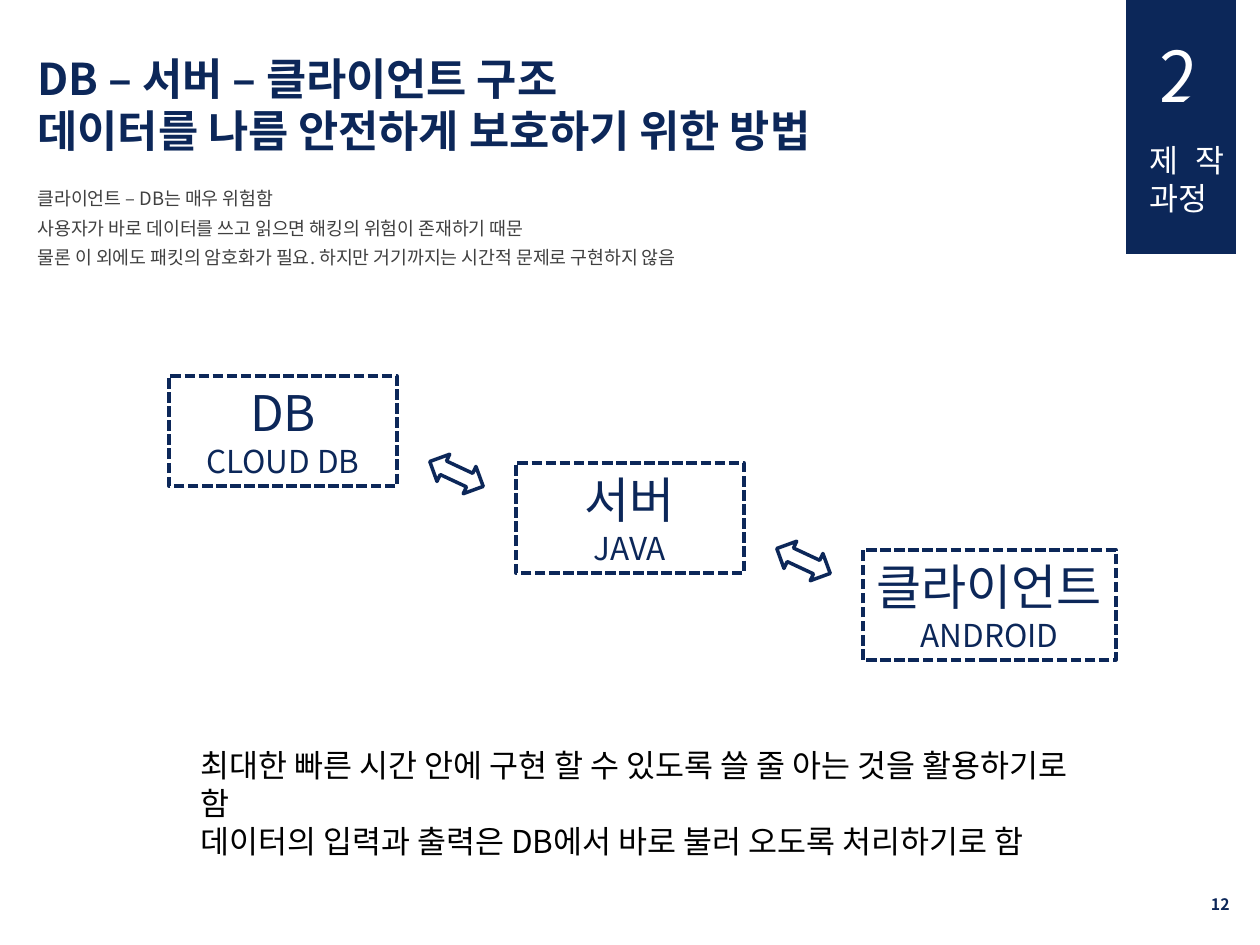
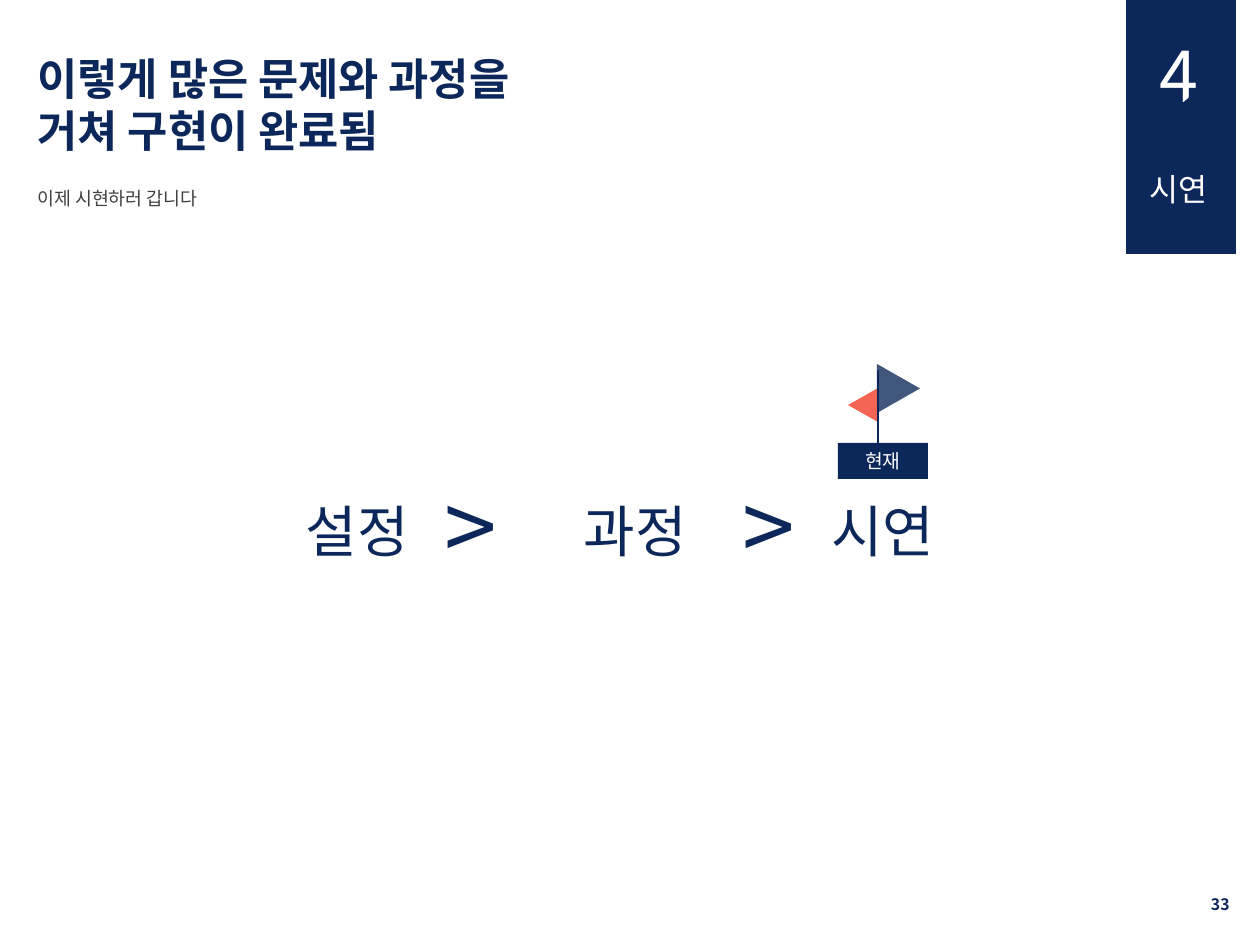
from lxml.etree import SubElement
from pptx import Presentation
from pptx.dml.color import RGBColor
from pptx.enum.dml import MSO_LINE
from pptx.enum.shapes import MSO_CONNECTOR, MSO_SHAPE
from pptx.enum.text import MSO_ANCHOR, MSO_AUTO_SIZE, PP_ALIGN
from pptx.oxml.ns import qn
from pptx.util import Emu, Pt

# Content
SLIDES = [
    dict(page="12", number="2", section="제작과정", section_top=135,
         title=["DB – 서버 – 클라이언트 구조", "데이터를 나름 안전하게 보호하기 위한 방법"],
         title_width=873,
         body=["클라이언트 – DB는 매우 위험함",
               "사용자가 바로 데이터를 쓰고 읽으면 해킹의 위험이 존재하기 때문",
               "물론 이 외에도 패킷의 암호화가 필요. 하지만 거기까지는 시간적 문제로 구현하지 않음"],
         body_width=694),
    dict(page="33", number="4", section="시연", section_top=164,
         title=["이렇게 많은 문제와 과정을 거쳐 구현이 완료됨"], title_width=515,
         body=["이제 시현하러 갑니다"], body_width=515),
]
TIERS = [("DB", "CLOUD DB", 228), ("서버", "JAVA", 228), ("클라이언트", "ANDROID", 253)]
NOTE = ["최대한 빠른 시간 안에 구현 할 수 있도록 쓸 줄 아는 것을 활용하기로 함",
        "데이터의 입력과 출력은 DB에서 바로 불러 오도록 처리하기로 함"]
STAGES = [("설정", PP_ALIGN.CENTER), ("과정", PP_ALIGN.CENTER), ("시연", PP_ALIGN.LEFT)]

# Shared style
FONT = "Noto Sans CJK KR"
NAVY, RED, GRAY, BLACK, WHITE = "0C2759", "F33A24", "404040", "000000", "FFFFFF"
PX = 914400 / 126


def px(*values):
    return [Emu(round(v * PX)) for v in values]


def rgb(color):
    return RGBColor.from_string(color)


def write(s, lines, size=18, color=NAVY, bold=False, align=PP_ALIGN.LEFT,
          anchor=MSO_ANCHOR.TOP, spacing=None):
    """Fill a shape with lines; a line is a text or a (text, size) pair."""
    tf = s.text_frame
    tf.word_wrap = True
    tf.auto_size = MSO_AUTO_SIZE.NONE
    tf.vertical_anchor = anchor
    for i, line in enumerate(lines):
        text, points = line if isinstance(line, tuple) else (line, size)
        p = tf.paragraphs[0] if i == 0 else tf.add_paragraph()
        p.alignment = align
        p.space_before = Pt(0)
        if spacing:
            p.line_spacing = Pt(spacing)
        r = p.add_run()
        r.text = text
        r.font.size = Pt(points)
        r.font.bold = bold
        r.font.color.rgb = rgb(color)
        r.font.name = FONT
        SubElement(r._r.get_or_add_rPr(), qn("a:ea"), typeface=FONT)
    return s


def add_text(slide, box, lines, **style):
    return write(slide.shapes.add_textbox(*px(*box)), lines, **style)


def add_shape(slide, kind, box, fill=None, line=None, rotation=0, opacity=100):
    s = slide.shapes.add_shape(kind, *px(*box))
    s.shadow.inherit = False
    s.rotation = rotation
    if fill:
        s.fill.solid()
        s.fill.fore_color.rgb = rgb(fill)
        if opacity < 100:
            clr = s._element.spPr.find(".//" + qn("a:srgbClr"))
            SubElement(clr, qn("a:alpha"), val=str(opacity * 1000))
    else:
        s.fill.background()
    if line:
        s.line.color.rgb = rgb(line)
        s.line.width = Pt(2)
    else:
        s.line.fill.background()
    return s


def place(s, box):
    s.left, s.top, s.width, s.height = px(*box)
    return s


def add_base(prs, page, number, section, section_top, title, title_width, body, body_width):
    """Slide with title, list, section band and page number."""
    slide = prs.slides.add_slide(prs.slide_layouts[1])
    write(place(slide.shapes.title, (25, 45, title_width, 118)), title,
          size=25, bold=True)
    sp = write(place(slide.placeholders[1], (25, 173, body_width, 103)), body,
               size=10.5, color=GRAY, spacing=17)
    for p in sp.text_frame.paragraphs:
        pPr = p._p.get_or_add_pPr()
        pPr.set("marL", "0")
        pPr.set("indent", "0")
        SubElement(pPr, qn("a:buNone"))

    # Section band; the corner triangle trims the foot of the number
    add_shape(slide, MSO_SHAPE.RECTANGLE, (1126, 0, 110, 254), fill=NAVY)
    add_text(slide, (1137, section_top, 100, 89), [section], color=WHITE,
             align=PP_ALIGN.JUSTIFY)
    add_text(slide, (1147, 26, 79, 97), [number], size=40, color=WHITE)
    corner = add_shape(slide, MSO_SHAPE.ISOSCELES_TRIANGLE, (1156, 76, 59, 49), fill=NAVY)
    corner.adjustments[0] = 1

    add_text(slide, (948, 879, 294, 50), [page], size=9, bold=True,
             align=PP_ALIGN.RIGHT, anchor=MSO_ANCHOR.MIDDLE)
    return slide


def add_structure(slide):
    """Descending tiers joined by double arrows, with a note below."""
    left, top, step_x, step_y = 169, 376, 347, 87
    for i, (name, tech, width) in enumerate(TIERS):
        x, y = left + i * step_x, top + i * step_y
        tier = add_shape(slide, MSO_SHAPE.RECTANGLE, (x, y, width, 110), line=NAVY)
        tier.line.dash_style = MSO_LINE.SQUARE_DOT
        write(tier, [(name, 28), (tech, 18)], align=PP_ALIGN.CENTER,
              anchor=MSO_ANCHOR.MIDDLE)
        if i < len(TIERS) - 1:
            add_shape(slide, MSO_SHAPE.LEFT_RIGHT_ARROW, (x + 258, y + 83, 59, 30),
                      line=NAVY, rotation=25)
    add_text(slide, (188, 740, 908, 127), NOTE, color=BLACK)


def add_progress(slide):
    """Stages in a row, with a flag over the current one."""
    for i, (stage, align) in enumerate(STAGES):
        add_text(slide, (263 + i * 278, 490, 189, 81), [stage], size=32, align=align)
        if i < len(STAGES) - 1:
            add_text(slide, (432 + i * 298, 462, 79, 127), [">"], size=54)

    # Flag
    for box, color, rotation in [((874, 367, 49, 43), NAVY, 90),
                                 ((846, 390, 34, 30), RED, 270)]:
        add_shape(slide, MSO_SHAPE.ISOSCELES_TRIANGLE, box, fill=color,
                  rotation=rotation, opacity=78)
    pole = slide.shapes.add_connector(MSO_CONNECTOR.STRAIGHT, *px(878, 370, 878, 450))
    pole.line.color.rgb = rgb(NAVY)
    pole.line.width = Pt(0.75)
    SubElement(pole._element.spPr, qn("a:effectLst"))
    tag = add_shape(slide, MSO_SHAPE.RECTANGLE, (838, 443, 90, 36), fill=NAVY)
    write(tag, ["현재"], size=11, color=WHITE, align=PP_ALIGN.CENTER)


def main():
    prs = Presentation()
    prs.slide_width, prs.slide_height = px(1260, 945)
    structure, progress = [add_base(prs, **content) for content in SLIDES]
    add_structure(structure)
    add_progress(progress)
    prs.save("out.pptx")


if __name__ == "__main__":
    main()
